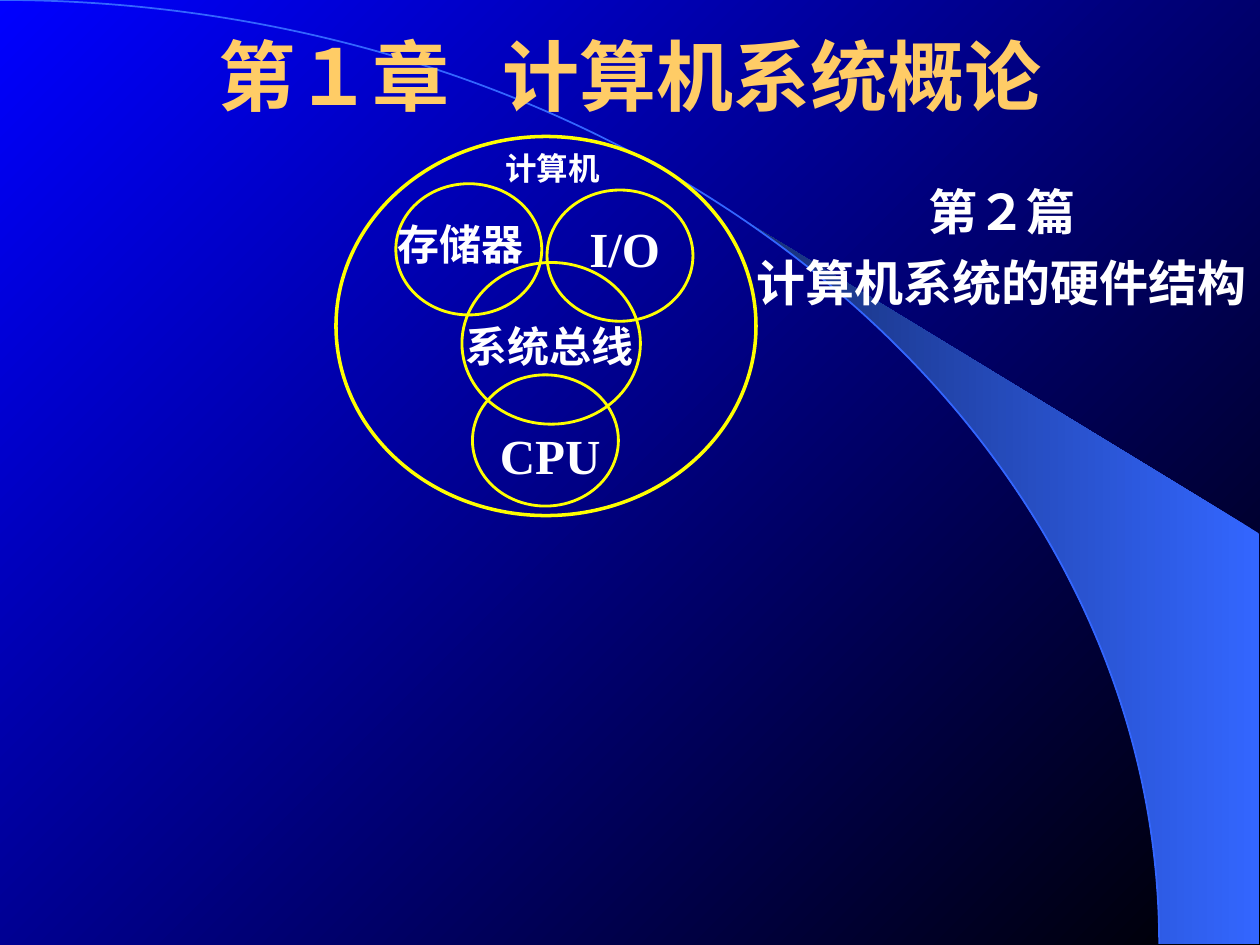
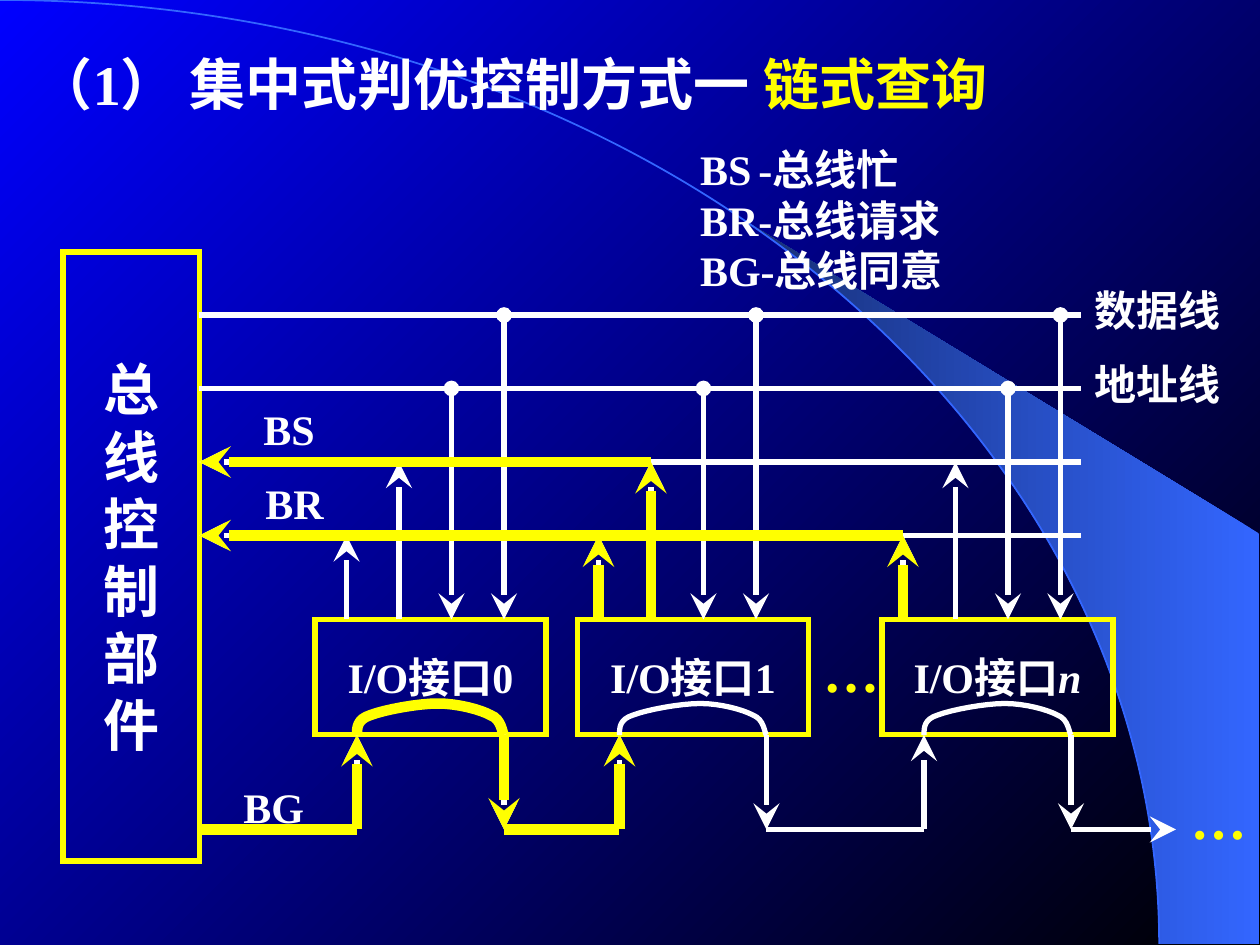
import math

from lxml import etree
from pptx import Presentation
from pptx.dml import color
from pptx.enum import shapes, text
from pptx.oxml import ns
from pptx.util import Cm, Pt

CELL = 2.54 / 12
WHITE, YELLOW, GOLD, BLUE = "FFFFFF", "FFFF00", "FFCC66", "3366FF"
SERIF, CHINESE, SANS = "Times New Roman", "Noto Sans CJK SC", "Arial"
THIN, THICK = 3, 6
ARC_WIDTH, ARC_HEIGHT = 110.4, 89.9

DATA_Y, ADDRESS_Y, BUSY_Y, REQUEST_Y = 30, 37, 44, 51
INTERFACE_TOP, INTERFACE_BOTTOM, GRANT_Y = 59, 70, 79
BUS_LEFT, BUS_RIGHT = 19, 103
ARCH_OFFSET, ARCH_WIDTH = 4, 14
ARCH = [(0, 3), (0, 2.3), (0, 1.5), (1.3, 1.1), (2.6, 0.6), (5.8, 0), (7.7, 0),
        (9.6, 0), (11.8, 0.6), (12.7, 1.1), (13.8, 1.5), (13.8, 2.8), (14, 3)]


def cells(*values):
    """Convert grid cells of a twelfth of an inch to lengths."""
    return [Cm(value * CELL) for value in values]


def rgb(value):
    """Turn a hex string into a colour."""
    return color.RGBColor.from_string(value)


def set_gradient(fill, start, end, angle):
    """Fill with a two-stop linear gradient."""
    fill.gradient()
    fill.gradient_angle = angle
    for stop, value in zip(fill.gradient_stops, (start, end)):
        stop.color.rgb = rgb(value)


def set_line(shape, hex_color, width):
    """Give a shape an outline with sharp corners and return its element."""
    shape.line.color.rgb = rgb(hex_color)
    shape.line.width = Pt(width)
    line = shape.element.spPr.find(ns.qn("a:ln"))
    etree.SubElement(line, ns.qn("a:miter"), lim="800000")
    return line


def format_run(run, size, hex_color, font, italic=False, spacing=0):
    """Set the font of one run, with the Chinese font beside it."""
    run.font.size, run.font.bold = Pt(size), True
    run.font.name = font
    run.font.color.rgb = rgb(hex_color)
    if italic:
        run.font.italic = True
    properties = run.font._element
    etree.SubElement(properties, ns.qn("a:ea"), typeface=CHINESE)
    if spacing:
        properties.set("spc", str(spacing * 100))


def write(frame, lines, size, hex_color=WHITE, font=SERIF, center=False, gap=0):
    """Write lines, each a string or a list of (text, changes) runs."""
    for index, line in enumerate(lines):
        paragraph = frame.paragraphs[0] if index == 0 else frame.add_paragraph()
        paragraph.alignment = text.PP_ALIGN.CENTER if center else text.PP_ALIGN.LEFT
        if index and gap:
            paragraph.space_before = Pt(gap)
        for words, changes in [(line, {})] if isinstance(line, str) else line:
            run = paragraph.add_run()
            run.text = words
            format_run(run, **{"size": size, "hex_color": hex_color, "font": font, **changes})


def set_insets(frame, side, vertical):
    """Set the inner margins of a text frame."""
    frame.margin_left = frame.margin_right = Cm(side)
    frame.margin_top = frame.margin_bottom = Cm(vertical)


def add_label(slide, box, lines, size, inset=True, **style):
    """Add an unwrapped text box that fits its text."""
    frame = slide.shapes.add_textbox(*cells(*box)).text_frame
    frame.word_wrap = False
    frame.auto_size = text.MSO_AUTO_SIZE.SHAPE_TO_FIT_TEXT
    set_insets(frame, *((0.25, 0.13) if inset else (0, 0)))
    write(frame, lines, size, **style)
    return frame


def add_outline(slide, kind, box, hex_color, width):
    """Add an unfilled preset shape."""
    shape = slide.shapes.add_shape(kind, *cells(*box))
    shape.shadow.inherit = False
    shape.fill.background()
    set_line(shape, hex_color, width)
    return shape


def add_block(slide, box, lines, size):
    """Add a yellow rectangle with centred text."""
    shape = add_outline(slide, shapes.MSO_SHAPE.RECTANGLE, box, YELLOW, THIN)
    frame = shape.text_frame
    frame.word_wrap = False
    frame.vertical_anchor = text.MSO_ANCHOR.MIDDLE
    set_insets(frame, 0.25, 0.13)
    write(frame, lines, size, center=True)


def add_freeform(slide, points, close):
    """Add a shape through points given in cells."""
    first, *rest = [tuple(cells(*point)) for point in points]
    builder = slide.shapes.build_freeform(*first)
    builder.add_line_segments(rest, close=close)
    shape = builder.convert_to_shape()
    shape.shadow.inherit = False
    return shape


def add_wire(slide, start, end, hex_color=WHITE, width=THIN, head=None, tail=None):
    """Add a straight line with optional ends, larger arrows on thin wires."""
    wire = slide.shapes.add_connector(shapes.MSO_CONNECTOR.STRAIGHT, *cells(*start, *end))
    line = set_line(wire, hex_color, width)
    for tag, kind in (("a:headEnd", head), ("a:tailEnd", tail)):
        if kind:
            size = "lg" if kind == "stealth" and width == THIN else "med"
            etree.SubElement(line, ns.qn(tag), type=kind, w=size, len=size)
    etree.SubElement(wire.element.spPr, ns.qn("a:effectLst"))


def add_arch(slide, left, top, hex_color=WHITE, width=THIN):
    """Add the curve that passes a grant through an interface."""
    points = [ARCH[0]]
    for index in range(0, len(ARCH) - 1, 3):
        corners = ARCH[index:index + 4]
        for step in range(1, 9):
            t = step / 8
            weights = [math.comb(3, k) * t ** k * (1 - t) ** (3 - k) for k in range(4)]
            points.append([sum(w * corner[axis] for w, corner in zip(weights, corners))
                           for axis in (0, 1)])
    arch = add_freeform(slide, [(left + x, top + y) for x, y in points], False)
    arch.fill.background()
    set_line(arch, hex_color, width)


def add_grant(slide, start, end, hex_color=WHITE, width=THIN):
    """Run a grant along the bottom and up into an interface."""
    add_wire(slide, (start, GRANT_Y), (end, GRANT_Y), hex_color, width)
    add_wire(slide, (end, GRANT_Y), (end, INTERFACE_BOTTOM), hex_color, width, tail="stealth")


def add_backdrop(presentation):
    """Add a blank slide with the gradient, the wedge and the arc."""
    slide = presentation.slides.add_slide(presentation.slide_layouts[6])
    set_gradient(slide.background.fill, "000000", "0000FF", 135)
    curve = []
    for degrees in range(40, 91, 2):
        angle = math.radians(degrees)
        curve.append((ARC_WIDTH * math.sin(angle), ARC_HEIGHT * (1 - math.cos(angle))))
    wedge = add_freeform(slide, curve + [(119.9, ARC_HEIGHT), (119.9, 50.8)], True)
    set_gradient(wedge.fill, BLUE, "172F75", 180)
    wedge.line.fill.background()
    arc_box = (-ARC_WIDTH, 0, 2 * ARC_WIDTH, 2 * ARC_HEIGHT)
    add_outline(slide, shapes.MSO_SHAPE.ARC, arc_box, BLUE, 1)
    return slide


def add_computer(slide, box):
    """Draw the computer and the parts that overlap inside it."""
    left, top, width, height = box
    add_outline(slide, shapes.MSO_SHAPE.OVAL, box, YELLOW, 2)
    circles = [(12, 12, 17, 15.4), (5.7, 4.5, 13.9, 12.5),
               (20.1, 5.1, 13.9, 12.5), (13, 22.7, 13.9, 12.5)]
    for x, y, *size in circles:
        add_outline(slide, shapes.MSO_SHAPE.OVAL, (left + x, top + y, *size), YELLOW, 1.62)
    labels = [("计算机", 16.1, 1.2, 9, 3.6, 18, CHINESE),
              ("存储器", 5.9, 7.8, 12, 4.8, 24, CHINESE),
              ("系统总线", 12.3, 17.5, 16, 4.8, 24, CHINESE),
              ("I/O", 22.6, 7.8, 9.8, 5.6, 28, SERIF),
              ("CPU", 15.6, 27.5, 9.6, 5.6, 28, SERIF)]
    for words, x, y, w, h, size, font in labels:
        add_label(slide, (left + x, top + y, w, h), [words], size, inset=False,
                  font=font, center=True)


def build_chapter(presentation):
    """Build the chapter slide."""
    slide = add_backdrop(presentation)
    add_label(slide, (70.9, 16.7, 49, 13.6), ["第２篇", "计算机系统的硬件结构"], 28,
              font=CHINESE, center=True, gap=7)
    add_computer(slide, (32, 13, 40, 36.1))
    frame = slide.shapes.add_textbox(*cells(9, -0.4, 102, 15)).text_frame
    frame.word_wrap = True
    frame.vertical_anchor = text.MSO_ANCHOR.MIDDLE
    write(frame, [[("第１章", {}), (" ", {"spacing": 20}), ("计算机系统概论", {})]], 44,
          hex_color=GOLD, font=SANS, center=True)


def add_interface(slide, left, tap, name):
    """Draw one interface with its four taps and its arch."""
    add_block(slide, (left, INTERFACE_TOP, 22, INTERFACE_BOTTOM - INTERFACE_TOP), [name], 24)
    for index, y in enumerate((REQUEST_Y, BUSY_Y)):
        x = tap + 5 * index
        add_wire(slide, (x, INTERFACE_TOP), (x, y), tail="stealth")
    for index, y in enumerate((ADDRESS_Y, DATA_Y), 2):
        x = tap + 5 * index
        add_wire(slide, (x, y), (x, INTERFACE_TOP), head="oval", tail="stealth")
    arch = left + ARCH_OFFSET
    add_arch(slide, arch, INTERFACE_BOTTOM - 3)
    add_wire(slide, (arch + ARCH_WIDTH, INTERFACE_BOTTOM), (arch + ARCH_WIDTH, GRANT_Y),
             tail="stealth")


def add_active_route(slide):
    """Highlight the requests, the grant and the busy signal."""
    style = {"hex_color": YELLOW, "width": THICK}
    add_wire(slide, (62, BUSY_Y), (BUS_LEFT, BUSY_Y), tail="stealth", **style)
    add_wire(slide, (BUS_LEFT, REQUEST_Y), (86, REQUEST_Y), head="stealth", **style)
    for x, y in ((57, REQUEST_Y), (86, REQUEST_Y), (62, BUSY_Y)):
        add_wire(slide, (x, INTERFACE_TOP), (x, y), tail="stealth", **style)
    add_grant(slide, BUS_LEFT, 34, **style)
    add_arch(slide, 34, INTERFACE_BOTTOM - 3, **style)
    add_wire(slide, (48, INTERFACE_BOTTOM), (48, GRANT_Y), tail="stealth", **style)
    add_grant(slide, 48, 59, **style)


def build_daisy_chain(presentation):
    """Build the slide on chained bus arbitration."""
    slide = add_backdrop(presentation)
    title = add_label(slide, (3.5, 4.1, 105, 7.8),
                      [[("（1） 集中式判优控制方式一 ", {}), ("链式查询", {"hex_color": YELLOW})]], 32)
    title.word_wrap = True
    title.margin_left = 0
    add_block(slide, (6, 24, 13, 58), list("总线控制部件"), 32)
    for y, head in ((DATA_Y, None), (ADDRESS_Y, None),
                    (BUSY_Y, "stealth"), (REQUEST_Y, "stealth")):
        add_wire(slide, (BUS_LEFT, y), (BUS_RIGHT, y), head=head)
    add_interface(slide, 30, 33, "I/O接口0")
    add_interface(slide, 55, 57, "I/O接口1")
    add_interface(slide, 84, 86, [("I/O接口", {}), ("n", {"italic": True})])
    for start, end in ((BUS_LEFT, 34), (48, 59), (73, 88)):
        add_grant(slide, start, end)
    add_wire(slide, (102, GRANT_Y), (112, GRANT_Y), tail="stealth")
    labels = [("BS", 23.9, 37.8, 9), ("BR", 24.1, 44.9, 9), ("BG", 22, 73.8, 9),
              ("数据线", 103.1, 26.5, 16), ("地址线", 103.1, 33.5, 16)]
    for words, x, y, width in labels:
        add_label(slide, (x, y, width, 6), [words], 24)
    for x, y in ((77.2, 60), (112.2, 74)):
        add_label(slide, (x, y, 7.8, 7.7), ["…"], 32, hex_color=YELLOW)
    add_label(slide, (65.5, 13.1, 30, 15.6),
              [[("BS", {}), (" ", {"size": 16}), ("-总线忙", {})], "BR-总线请求", "BG-总线同意"], 24)
    add_active_route(slide)


def main():
    """Build and save the presentation."""
    presentation = Presentation()
    presentation.slide_width, presentation.slide_height = cells(120, 90)
    build_chapter(presentation)
    build_daisy_chain(presentation)
    presentation.save("out.pptx")


if __name__ == "__main__":
    main()
